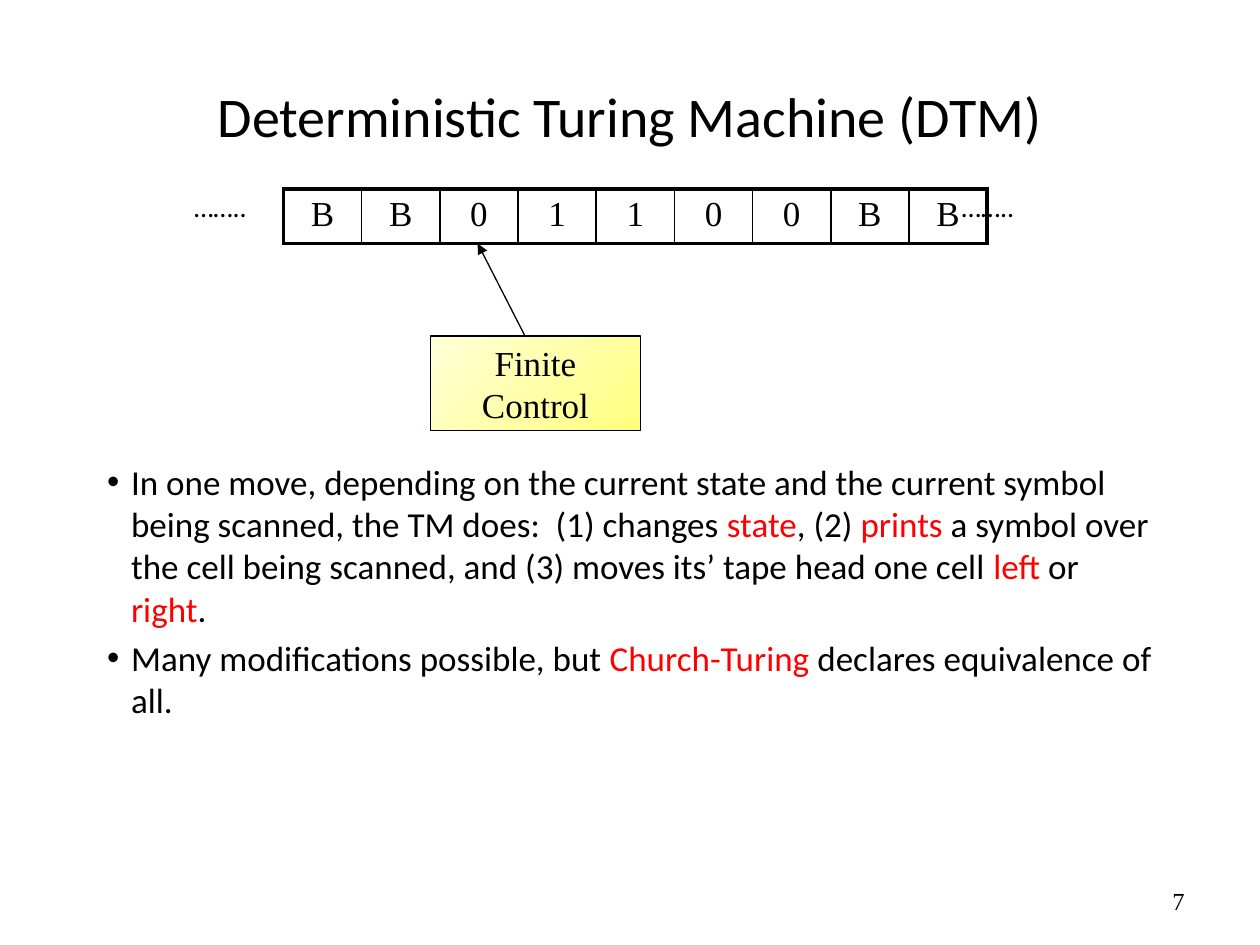
from lxml import etree
from pptx import Presentation
from pptx import util as u
from pptx.dml.color import RGBColor
from pptx.enum import shapes, text
from pptx.oxml import ns

BLACK = RGBColor(0, 0, 0)
RED = RGBColor(255, 0, 0)
DEEP = RGBColor(255, 255, 126)
PALE = RGBColor(255, 255, 217)
UNIT = u.Inches(1) / 12
SANS, SERIF = "Calibri", "Times New Roman"
MID = text.PP_ALIGN.CENTER

TAPE = "BB01100BB"
MOVES = [
    [("In one move, depending on the current state and the current symbol "
      "being scanned, the TM does:  (1) changes ", BLACK),
     ("state", RED), (", (2) ", BLACK), ("prints", RED),
     (" a symbol over the cell being scanned, and (3) moves its’ tape head "
      "one cell ", BLACK),
     ("left", RED), (" or ", BLACK), ("right", RED), (".", BLACK)],
    [("Many modifications possible, but ", BLACK), ("Church-Turing ", RED),
     ("declares equivalence of all.", BLACK)],
]


def grid(*cells):
    return [u.Emu(round(cell * UNIT)) for cell in cells]


def place(shape, *cells):
    for name, size in zip(("left", "top", "width", "height"), grid(*cells)):
        setattr(shape, name, size)


def style(item, **form):
    for name, value in form.items():
        setattr(item, name, value)


def child(node, tag, **attrs):
    return etree.SubElement(node, ns.qn("a:" + tag), attrs)


def write(par, parts, size, font, align=None):
    par.alignment = align
    for words, color in parts:
        run = par.add_run()
        run.text = words
        style(run.font, size=u.Pt(size), name=font)
        run.font.color.rgb = color


def label(slide, words, cells, size, font, align=None):
    box = slide.shapes.add_textbox(*grid(*cells))
    style(box.text_frame, word_wrap=True)
    write(box.text_frame.paragraphs[0], [(words, BLACK)], size, font, align)
    return box


def title(slide, words):
    head = slide.shapes.title
    place(head, 9, 5, 102, 12)
    style(head.text_frame, vertical_anchor=text.MSO_ANCHOR.MIDDLE,
          auto_size=text.MSO_AUTO_SIZE.NONE)
    write(head.text_frame.paragraphs[0], [(words, BLACK)], 32, SANS, MID)


def bullets(slide, items):
    body = slide.placeholders[1]
    place(body, 9, 17.5, 102, 68.5)
    frame = body.text_frame
    style(frame, margin_top=u.Inches(2.2), auto_size=text.MSO_AUTO_SIZE.NONE)
    for i, parts in enumerate(items):
        par = frame.add_paragraph() if i else frame.paragraphs[0]
        write(par, parts, 20, SANS)
        par.space_before = u.Pt(4)
        props = par._p.get_or_add_pPr()
        hang = u.Inches(0.19)
        props.set("marL", str(hang))
        props.set("indent", str(-hang))
        child(child(props, "buClr"), "srgbClr", val=str(BLACK))
        child(props, "buChar", char="•")


def border(cell, sides):
    props = cell._tc.get_or_add_tcPr()
    for i, (side, width) in enumerate(sides.items()):
        edge = etree.Element(ns.qn("a:ln" + side), w=str(u.Pt(width)))
        child(child(edge, "solidFill"), "srgbClr", val=str(BLACK))
        props.insert(i, edge)


def tape(slide, marks):
    last = len(marks) - 1
    cells = grid(27, 18, 7.45 * len(marks), 5.2)
    table = slide.shapes.add_table(1, len(marks), *cells).table
    style(table, first_row=False, horz_banding=False)
    for i, mark in enumerate(marks):
        cell = table.cell(0, i)
        cell.fill.background()
        write(cell.text_frame.paragraphs[0], [(mark, BLACK)], 20, SERIF, MID)
        border(cell, {"L": 1 if i else 2.25, "R": 1 if i < last else 2.25,
                      "T": 2.25, "B": 2.25})


def control(slide, lines):
    box = slide.shapes.add_shape(shapes.MSO_SHAPE.RECTANGLE,
                                 *grid(41, 32, 20, 9))
    box.shadow.inherit = False
    box.fill.gradient()
    box.fill.gradient_angle = 135
    for stop, color in zip(box.fill.gradient_stops, (DEEP, PALE)):
        stop.color.rgb = color
    box.line.color.rgb = BLACK
    box.line.width = u.Pt(0.75)
    frame = box.text_frame
    style(frame, vertical_anchor=text.MSO_ANCHOR.MIDDLE)
    for i, line in enumerate(lines):
        par = frame.add_paragraph() if i else frame.paragraphs[0]
        write(par, [(line, BLACK)], 20, SERIF, MID)


def arrow(slide, *ends):
    line = slide.shapes.add_connector(shapes.MSO_CONNECTOR.STRAIGHT,
                                      *grid(*ends))
    line.line.color.rgb = BLACK
    line.line.width = u.Pt(0.75)
    child(line.line._get_or_add_ln(), "tailEnd", type="triangle")
    child(line._element.spPr, "effectLst")


def main():
    deck = Presentation()
    style(deck, slide_width=u.Inches(10), slide_height=u.Inches(7.5))
    slide = deck.slides.add_slide(deck.slide_layouts[1])
    title(slide, "Deterministic Turing Machine (DTM)")
    bullets(slide, MOVES)
    for left in (17.3, 90.4):
        label(slide, "……..", (left, 17.5, 9, 4.4), 16, SANS)
    control(slide, ("Finite", "Control"))
    tape(slide, TAPE)
    arrow(slide, 50, 32, 45.5, 23.2)
    page = label(slide, "7", (86, 83.4, 28, 4.8), 14, SERIF,
                 text.PP_ALIGN.RIGHT)
    style(page.text_frame, vertical_anchor=text.MSO_ANCHOR.MIDDLE)
    deck.save("out.pptx")


if __name__ == "__main__":
    main()
